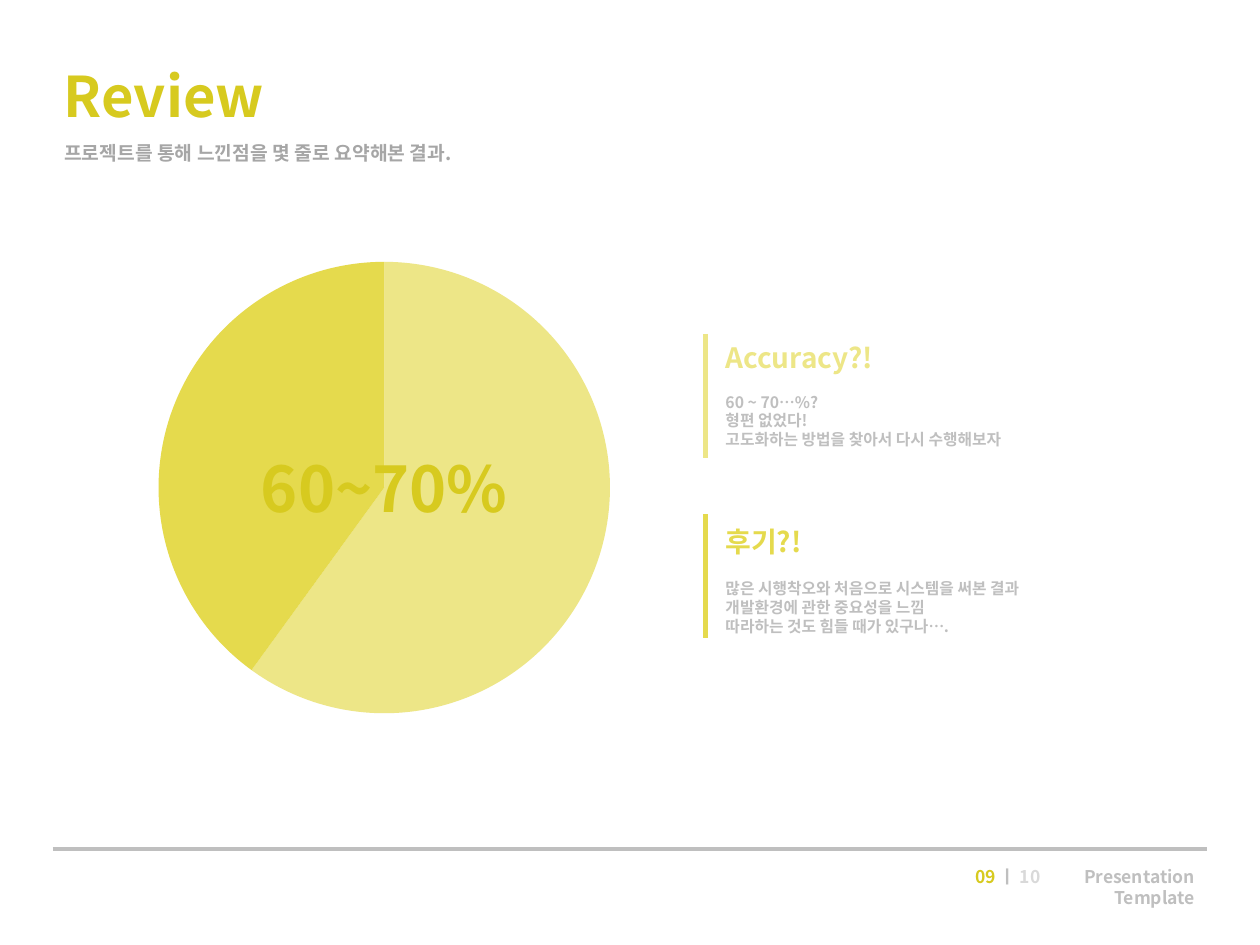
import lxml.etree
import pptx
import pptx.chart.data
import pptx.dml.color
import pptx.enum.chart
import pptx.enum.shapes
import pptx.enum.text
import pptx.oxml
import pptx.oxml.ns
import pptx.util

Pt = pptx.util.Pt
LEFT = pptx.enum.text.PP_ALIGN.LEFT
CENTER = pptx.enum.text.PP_ALIGN.CENTER
RIGHT = pptx.enum.text.PP_ALIGN.RIGHT
qn = pptx.oxml.ns.qn

OLIVE = "D7CA1F"
YELLOW = "E5DA4D"
PALE_YELLOW = "EDE687"
DARK_GRAY = "A6A6A6"
GRAY = "BFBFBF"
LIGHT_GRAY = "D9D9D9"


def color(value):
    return pptx.dml.color.RGBColor.from_string(value)


class SlideBuilder:
    font_name = "Noto Sans CJK KR"

    def __init__(self, slide):
        self.slide = slide

    def style(self, paragraph, size, fill, align=LEFT):
        paragraph.alignment = align
        font = paragraph.font
        font.name = self.font_name
        font.size = Pt(size)
        font.bold = True
        if fill:
            font.color.rgb = color(fill)
        properties = paragraph._p.pPr.find(qn("a:defRPr"))
        lxml.etree.SubElement(properties, qn("a:ea"), typeface=self.font_name)

    def text_frame(self, left, top, width, height):
        shape = self.slide.shapes.add_textbox(Pt(left), Pt(top), Pt(width), Pt(height))
        shape.text_frame.word_wrap = True
        return shape.text_frame

    def text(self, left, top, width, height, runs, size, align=LEFT):
        paragraph = self.text_frame(left, top, width, height).paragraphs[0]
        self.style(paragraph, size, runs[0][1] if len(runs) == 1 else None, align)
        for content, fill in runs:
            run = paragraph.add_run()
            run.text = content
            if len(runs) > 1:
                run.font.color.rgb = color(fill)

    def line(self, start, end, fill, width):
        connector = self.slide.shapes.add_connector(
            pptx.enum.shapes.MSO_CONNECTOR.STRAIGHT, *map(Pt, start + end))
        connector.line.color.rgb = color(fill)
        connector.line.width = Pt(width)
        lxml.etree.SubElement(connector._element.spPr, qn("a:effectLst"))

    def note(self, bar_top, text_top, fill, heading, lines, gap):
        self.line((403.2, bar_top), (403.2, bar_top + 70.8), fill, 3)
        frame = self.text_frame(407.5, text_top, 242.6, 62)
        frame.text = "\n".join([heading] + lines)
        title, *body = frame.paragraphs
        self.style(title, 16, fill)
        for paragraph in body:
            self.style(paragraph, 9, GRAY)
        body[0].space_before = Pt(gap)

    def pie(self, left, top, width, height, diameter, values, fills):
        data = pptx.chart.data.CategoryChartData()
        data.categories = [str(number + 1) for number in range(len(values))]
        data.add_series("Series 1", values)
        chart = self.slide.shapes.add_chart(
            pptx.enum.chart.XL_CHART_TYPE.PIE,
            Pt(left), Pt(top), Pt(width), Pt(height), data).chart
        chart.has_legend = False
        chart.has_title = False
        chart.font.name = self.font_name
        chart.font.size = Pt(18)
        chart.font.color.rgb = color("000000")
        plot = chart.plots[0]
        plot.vary_by_categories = False
        for index, fill in enumerate(fills):
            point = plot.series[0].points[index]
            point.format.fill.solid()
            point.format.fill.fore_color.rgb = color(fill)
            point.format.line.fill.background()
        self.center_plot(chart, diameter / width, diameter / height)

    def center_plot(self, chart, width, height):
        area = chart._chartSpace.chart.plotArea
        for old in area.findall(qn("c:layout")):
            area.remove(old)
        layout = lxml.etree.Element(qn("c:layout"))
        manual = lxml.etree.SubElement(layout, qn("c:manualLayout"))
        settings = {
            "layoutTarget": "inner", "xMode": "edge", "yMode": "edge",
            "x": (1 - width) / 2, "y": (1 - height) / 2, "w": width, "h": height,
        }
        for name, value in settings.items():
            lxml.etree.SubElement(manual, qn("c:" + name), val=str(value))
        area.insert(0, layout)


def main():
    presentation = pptx.Presentation()
    presentation.slide_width = Pt(720)
    presentation.slide_height = Pt(540)
    builder = SlideBuilder(presentation.slides.add_slide(presentation.slide_layouts[6]))

    builder.text(29.5, 31.7, 415.4, 44, [("Review", OLIVE)], 32)
    builder.text(29.5, 77, 421.2, 22.3,
                 [("프로젝트를 통해 느낀점을 몇 줄로 요약해본 결과.", DARK_GRAY)], 11)

    builder.line((30.2, 485.3), (689.8, 485.3), GRAY, 2.25)
    builder.text(501.8, 491.4, 99.8, 22.3,
                 [("09 ", OLIVE), ("ㅣ ", GRAY), ("10", LIGHT_GRAY)], 10, RIGHT)
    builder.text(601.8, 491.4, 88, 36, [("Presentation Template", GRAY)], 10, RIGHT)

    builder.note(190.8, 190.8, PALE_YELLOW, "Accuracy?!",
                 ["60 ~ 70…%?", "형편 없었다!", "고도화하는 방법을 찾아서 다시 수행해보자"], 10.6)
    builder.note(293.8, 296, YELLOW, "후기?!",
                 ["많은 시행착오와 처음으로 시스템을 써본 결과",
                  "개발환경에 관한 중요성을 느낌",
                  "따라하는 것도 힘들 때가 있구나…."], 12)

    builder.pie(42.5, 139.7, 354.2, 277.9, 258, [60, 40], [PALE_YELLOW, YELLOW])
    builder.text(129.6, 253.5, 180, 50, [("60~70%", OLIVE)], 36, CENTER)

    presentation.save("out.pptx")


if __name__ == "__main__":
    main()
